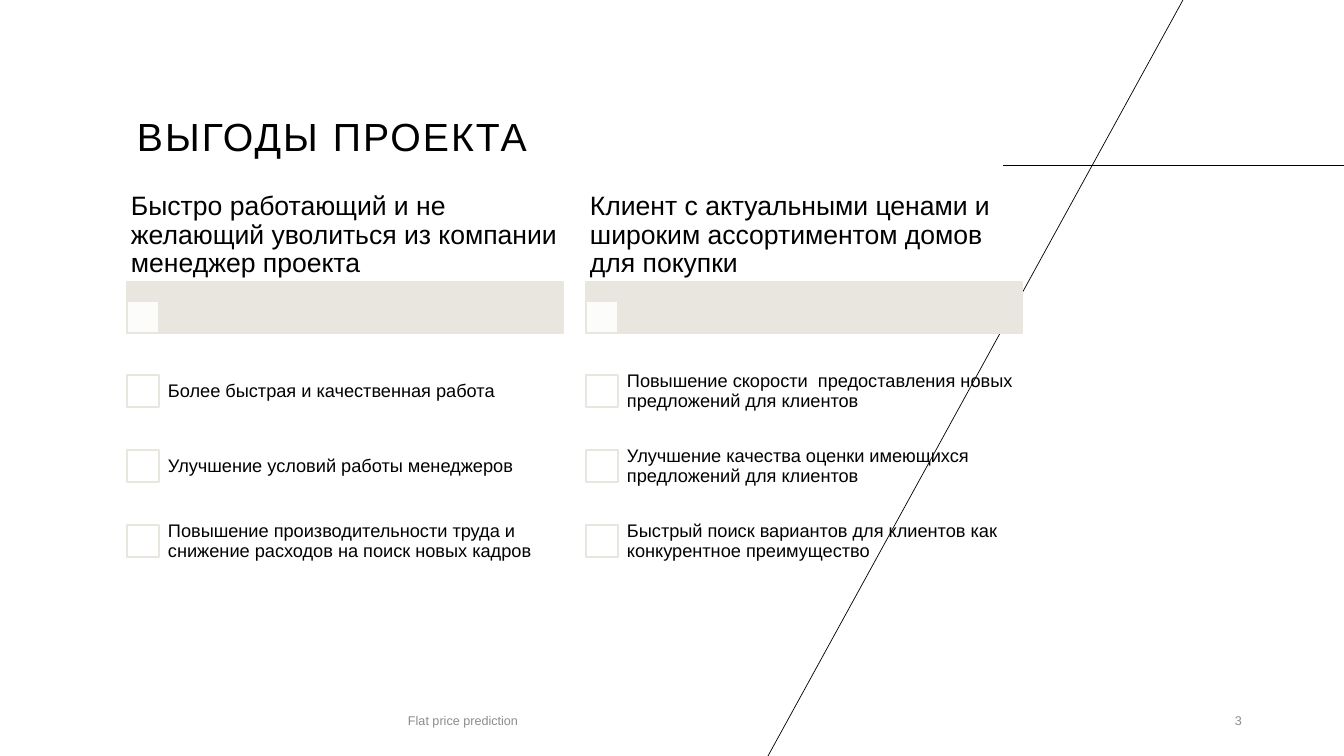
from pptx import Presentation
from pptx.dml.color import RGBColor
from pptx.enum.shapes import MSO_CONNECTOR, MSO_SHAPE
from pptx.enum.text import MSO_ANCHOR, PP_ALIGN
from pptx.oxml.ns import qn
from pptx.util import Emu, Pt
from lxml import etree

STRAIGHT, RECTANGLE = MSO_CONNECTOR.STRAIGHT, MSO_SHAPE.RECTANGLE
MIDDLE, BOTTOM = MSO_ANCHOR.MIDDLE, MSO_ANCHOR.BOTTOM
LEFT, CENTER, RIGHT = PP_ALIGN.LEFT, PP_ALIGN.CENTER, PP_ALIGN.RIGHT

EMU_PER_PX = 914400 / 100.8
BLACK, WHITE, GREY, BEIGE = "000000", "FFFFFF", "8C8C8C", "E9E6DF"
MARKER = 32
ITEM_PITCH = 75

BENEFITS = [
    ("Быстро работающий и не желающий уволиться из компании менеджер проекта",
     ["Более быстрая и качественная работа",
      "Улучшение условий работы менеджеров",
      "Повышение производительности труда и снижение расходов на поиск новых кадров"]),
    ("Клиент с актуальными ценами и широким ассортиментом домов для покупки",
     ["Повышение скорости  предоставления новых предложений для клиентов",
      "Улучшение качества оценки имеющихся предложений для клиентов",
      "Быстрый поиск вариантов для клиентов как конкурентное преимущество"]),
]


def px(value):
    return Emu(round(value * EMU_PER_PX))


def color(hex_string):
    return RGBColor.from_string(hex_string)


def add_text(slide, box, wording, size, hue=BLACK, anchor=MIDDLE, align=LEFT,
             inset=(10, 5), line_spacing=0.9, tracking=0):
    frame = slide.shapes.add_textbox(*map(px, box)).text_frame
    side, edge = map(px, inset)
    layout = {"word_wrap": True, "vertical_anchor": anchor,
              "margin_left": side, "margin_right": side,
              "margin_top": edge, "margin_bottom": edge}
    for name, value in layout.items():
        setattr(frame, name, value)
    paragraph = frame.paragraphs[0]
    paragraph.alignment = align
    paragraph.line_spacing = line_spacing
    run = paragraph.add_run()
    run.text = wording
    for name, value in {"name": "Arial", "size": Pt(size)}.items():
        setattr(run.font, name, value)
    run.font.color.rgb = color(hue)
    if tracking:
        run.font._element.set("spc", str(round(tracking * 100)))


def add_block(slide, box, fill, opacity=100):
    block = slide.shapes.add_shape(RECTANGLE, *map(px, box))
    block.shadow.inherit = False
    block.fill.solid()
    block.fill.fore_color.rgb = color(fill)
    block.line.color.rgb = color(BEIGE)
    block.line.width = Pt(1)
    if opacity < 100:
        fill_color = block._element.spPr.find(qn("a:solidFill"))[0]
        etree.SubElement(fill_color, qn("a:alpha")).set("val", str(opacity * 1000))


def add_rule(slide, start, end):
    rule = slide.shapes.add_connector(STRAIGHT, *map(px, start + end))
    rule.line.color.rgb = color(BLACK)
    rule.line.width = Pt(0.5)
    etree.SubElement(rule._element.spPr, qn("a:effectLst"))


def add_backdrop(slide, width, height):
    add_rule(slide, (1003, 165), (width, 165))
    add_rule(slide, (1183, 0), (768, height))


def add_footer(slide, top, height):
    for left, width, wording, align in [(271, 384, "Flat price prediction", CENTER),
                                        (950, 302, "3", RIGHT)]:
        add_text(slide, (left, top, width, height), wording, 9, GREY,
                 align=align, line_spacing=1)


def add_benefit_column(slide, left, top, width, heading, items):
    # Heading above its beige bar
    add_text(slide, (left, top, width, 93), heading, 19, inset=(4, 3))
    bar_top, bar_height = top + 93, 51
    add_block(slide, (left, bar_top, width, bar_height), BEIGE)
    add_block(slide, (left, bar_top + bar_height - MARKER, MARKER, MARKER), WHITE, 90)

    # Items, each with a square marker
    for index, item in enumerate(items):
        item_top = top + 165 + index * ITEM_PITCH
        add_block(slide, (left, item_top + 21, MARKER, MARKER), WHITE)
        add_text(slide, (left + 31, item_top, width - 28, ITEM_PITCH), item, 13,
                 inset=(10, 10))


def build_benefits_slide(deck, width, height):
    slide = deck.slides.add_slide(deck.slide_layouts[6])
    add_backdrop(slide, width, height)
    add_text(slide, (127, 32, 563, 133), "ВЫГОДЫ ПРОЕКТА", 28, anchor=BOTTOM,
             tracking=1.5)
    add_footer(slide, 701, 40)
    for index, (heading, items) in enumerate(BENEFITS):
        add_benefit_column(slide, 127 + index * 459, 189, 436, heading, items)


deck = Presentation()
SLIDE_WIDTH, SLIDE_HEIGHT = 1344, 756
deck.slide_width, deck.slide_height = px(SLIDE_WIDTH), px(SLIDE_HEIGHT)
build_benefits_slide(deck, SLIDE_WIDTH, SLIDE_HEIGHT)
deck.save("out.pptx")
